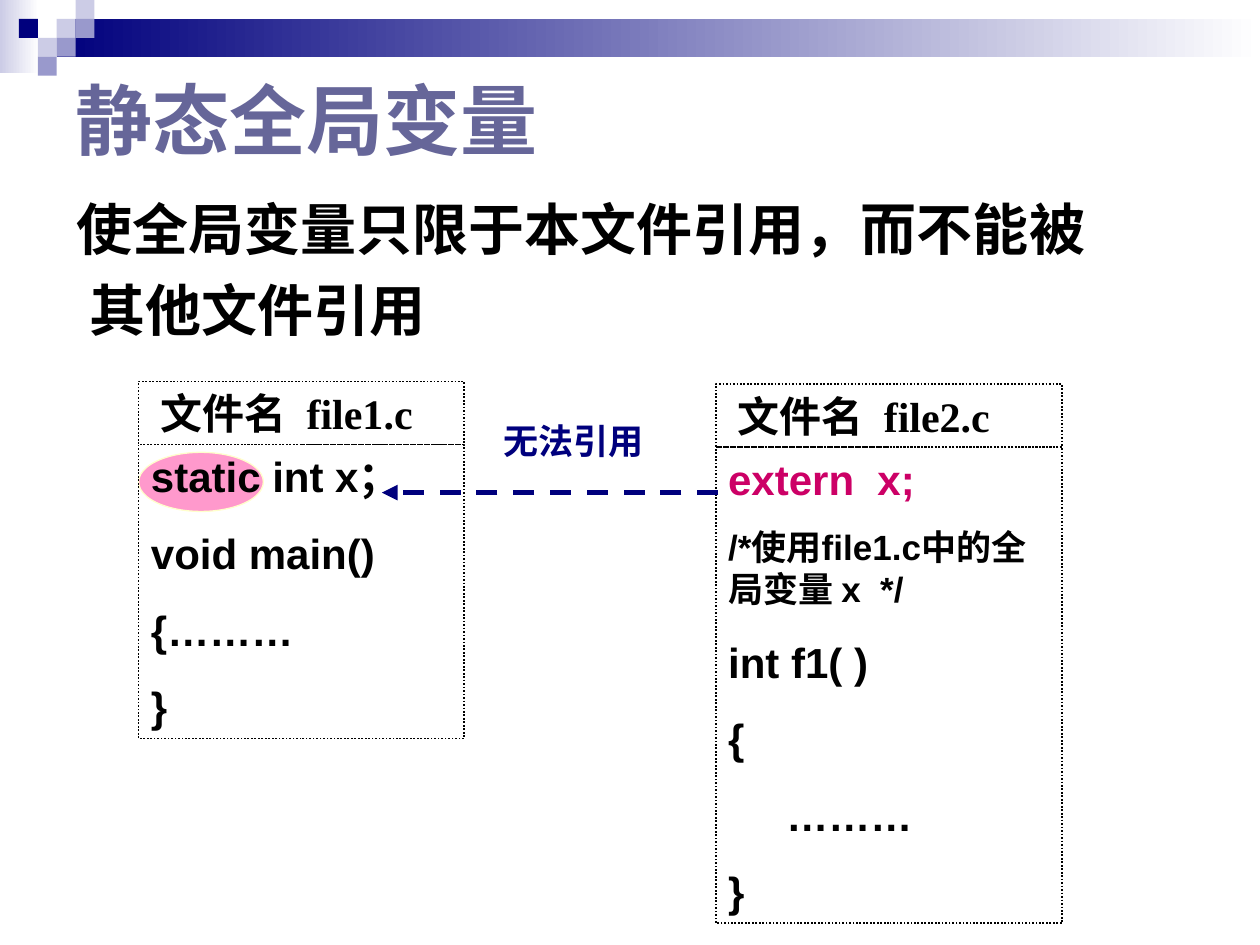
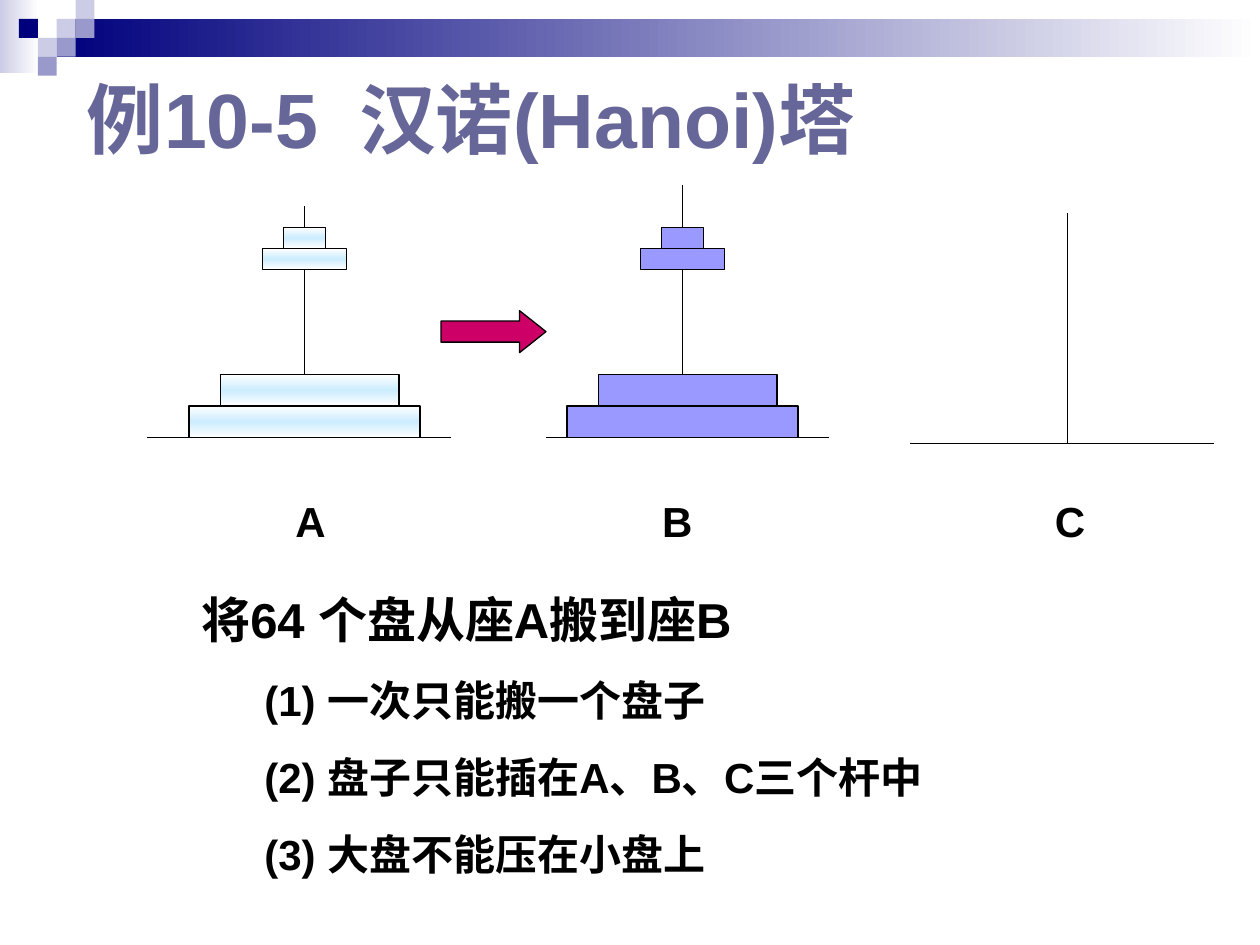
"""Build two programming slides: static global variables and the Tower of Hanoi."""
from lxml import etree
from pptx import Presentation
from pptx import util as u
from pptx.dml.color import RGBColor
from pptx.enum import dml, shapes, text
from pptx.oxml.ns import qn

Pt = u.Pt
COLORS = {
    "navy": "00007D", "lavender": "9999CC", "pale": "CCCCE6", "white": "FFFFFF",
    "title": "666699", "black": "000000", "magenta": "CC0066", "pink": "FF99CC",
    "cream": "FFFFCC", "disc": "9999FF", "sky": "CCECFF",
}
SANS, SERIF, CJK = "Arial", "Times New Roman", "Noto Sans CJK SC"
CELL = 10.8
MOSAIC = [(3, 1, "pale"), (4, 0, "pale"), (4, 1, "lavender"), (2, 2, "pale"),
          (1, 1, "navy"), (3, 2, "lavender"), (2, 3, "lavender")]
DISCS = [(-66, 232, 132, 18), (-48, 214, 102, 18), (-24, 142, 48, 12), (-12, 130, 24, 12)]


def rgb(name):
    return RGBColor.from_string(COLORS[name])


def paint(sp, fill, angle=0):
    if fill is None:
        sp.fill.background()
    elif isinstance(fill, str):
        sp.fill.solid()
        sp.fill.fore_color.rgb = rgb(fill)
    else:
        sp.fill.gradient()
        sp.fill.gradient_angle = angle
        stops = sp._element.spPr.find(qn("a:gradFill")).find(qn("a:gsLst"))
        for stop in list(stops):
            stops.remove(stop)
        for i, name in enumerate(fill):
            gs = etree.SubElement(stops, qn("a:gs"), pos=str(i * 100000 // (len(fill) - 1)))
            etree.SubElement(gs, qn("a:srgbClr"), val=COLORS[name])


def add_box(s, at, fill=None, line=None, width=0.75, dash=None, angle=0, kind="RECTANGLE"):
    sp = s.shapes.add_shape(shapes.MSO_SHAPE[kind], *map(Pt, at))
    sp.shadow.inherit = False
    paint(sp, fill, angle)
    if line:
        sp.line.color.rgb = rgb(line)
        sp.line.width = Pt(width)
        if dash:
            sp.line.dash_style = dash
    else:
        sp.line.fill.background()
    return sp


def add_line(s, x1, y1, x2, y2, color="black", width=0.75):
    cn = s.shapes.add_connector(shapes.MSO_CONNECTOR.STRAIGHT, *map(Pt, (x1, y1, x2, y2)))
    cn.line.color.rgb = rgb(color)
    cn.line.width = Pt(width)
    etree.SubElement(cn._element.spPr, qn("a:effectLst"))
    return cn


def write(tf, lines, font=SANS, anchor="TOP", margin=0, indent=0, spacing=None):
    tf.word_wrap = True
    tf.auto_size = text.MSO_AUTO_SIZE.NONE
    tf.vertical_anchor = text.MSO_ANCHOR[anchor]
    for i, (words, size, color) in enumerate(lines):
        p = tf.paragraphs[0] if i == 0 else tf.add_paragraph()
        p.text = words
        p.alignment = text.PP_ALIGN.LEFT
        p.space_before = Pt(size * 0.625 if i else 0)
        if spacing:
            p.line_spacing = spacing
        set_indent(p, margin, indent)
        for r in p.runs:
            style_run(r, font, size, color)


def style_run(r, font, size, color):
    r.font.name, r.font.size, r.font.bold = font, Pt(size), True
    r.font.color.rgb = rgb(color)
    etree.SubElement(r._r.get_or_add_rPr(), qn("a:ea"), typeface=CJK)


def write_with_gap(tf, left, right, size, color, font, **style):
    write(tf, [(left, size, color)], font, **style)
    p = tf.paragraphs[0]
    for words in (" ", right):
        r = p.add_run()
        r.text = words
        style_run(r, font, size, color)
    p.runs[1]._r.get_or_add_rPr().set("spc", str(size * 25))


def set_indent(p, margin, indent):
    pPr = p._p.get_or_add_pPr()
    pPr.set("marL", str(Pt(margin)))
    pPr.set("indent", str(Pt(indent)))


def add_text(s, at, lines, **style):
    sp = s.shapes.add_textbox(*map(Pt, at))
    write(sp.text_frame, lines, **style)
    return sp


def add_titled_slide(prs, at):
    s = prs.slides.add_slide(prs.slide_layouts[5])
    add_box(s, (0, 0, 22.3, 41.8), ("white", "pale"), angle=180)
    add_box(s, (32.4, CELL, 687.6, 21.6), ("white", "navy"), angle=180)
    for col, row, color in MOSAIC:
        add_box(s, (col * CELL, row * CELL, CELL, CELL), color)
    sp = s.shapes.title
    sp.left, sp.top, sp.width, sp.height = map(Pt, at)
    return s


def add_source_file(s, left, top, width, height, name, code):
    dots = dml.MSO_LINE.ROUND_DOT
    body = add_box(s, (left, top + 36, width, height), line="black", width=1, dash=dots)
    write(body.text_frame, code)
    header = add_box(s, (left, top, width, 36), line="black", width=1, dash=dots)
    write_with_gap(header.text_frame, "文件名", name, 24, "black", SERIF, margin=5.5)


def add_peg(s, center, top, base, left, right, fill=None):
    add_line(s, left, base, right, base)
    discs = []
    if fill:
        discs = [add_box(s, (center + dx, y, w, h), fill, "black", angle=90)
                 for dx, y, w, h in DISCS]
    pole = add_line(s, center, base, center, top)
    if discs:
        pole.begin_connect(discs[0], 2)
        s.shapes._spTree.insert(2, pole._element)


def build_static_slide(prs):
    s = add_titled_slide(prs, (36, 36, 387, 64))
    write(s.shapes.title.text_frame, [("静态全局变量", 44, "title")], SERIF, anchor="MIDDLE")
    add_box(s, (79.2, 258.5, 71.3, 33.8), "pink", "cream", kind="OVAL")
    add_text(s, (36.7, 100, 617.8, 124.6),
             [("使全局变量只限于本文件引用，而不能被其他文件引用", 32, "black")],
             margin=7.2, indent=-7.2, spacing=1.2)
    add_source_file(s, 79.2, 218, 186, 168, "file1.c",
                    [(code, 24, "black") for code in ("static int x；", "void main()", "{………", "}")])
    add_source_file(s, 409, 219.6, 198, 272, "file2.c", [
        ("extern  x;", 24, "magenta"),
        ("/*使用file1.c中的全局变量 x  */", 20, "black"),
        *((code, 24, "black") for code in ("int f1( )", "{", "     ………", "}"))])
    add_text(s, (280.8, 236.2, 113.8, 31.7), [("无法引用", 20, "navy")], font=CJK)
    arrow = add_line(s, 410.4, 281.5, 218.2, 281.5, "navy", 3)
    arrow.line.dash_style = dml.MSO_LINE.DASH
    etree.SubElement(arrow.line._get_or_add_ln(), qn("a:tailEnd"), type="triangle")


def build_hanoi_slide(prs):
    s = add_titled_slide(prs, (42.5, 37.4, 612, 59.8))
    write_with_gap(s.shapes.title.text_frame, "例10-5", "汉诺(Hanoi)塔", 44, "title", SANS,
                   anchor="MIDDLE")
    steps = add_text(s, (108, 333.4, 468, 185.8), [
        ("将64 个盘从座A搬到座B", 28, "black"),
        ("(1) 一次只能搬一个盘子", 24, "black"),
        ("(2) 盘子只能插在A、B、C三个杆中", 24, "black"),
        ("(3) 大盘不能压在小盘上", 24, "black")], margin=27, indent=-27)
    for p in steps.text_frame.paragraphs[1:]:
        p.level = 1
        set_indent(p, 58.5, -22.5)
    add_peg(s, 390, 106, 250, 312, 474, "disc")
    add_peg(s, 610, 121.5, 253.5, 520, 694)
    add_peg(s, 174, 117.5, 250, 84, 258, ("white", "sky", "white"))
    for label, center in (("A", 177.5), ("B", 387), ("C", 611.5)):
        sp = add_text(s, (center - 24, 279.5, 48, 36), [(label, 24, "black")])
        sp.text_frame.paragraphs[0].alignment = text.PP_ALIGN.CENTER
    arrow = add_box(s, (252, 177.5, 60, 24), "magenta", "black", kind="RIGHT_ARROW")
    arrow.adjustments[1] = 0.63


def main():
    prs = Presentation()
    prs.slide_width, prs.slide_height = Pt(720), Pt(540)
    build_static_slide(prs)
    build_hanoi_slide(prs)
    prs.save("out.pptx")


if __name__ == "__main__":
    main()
